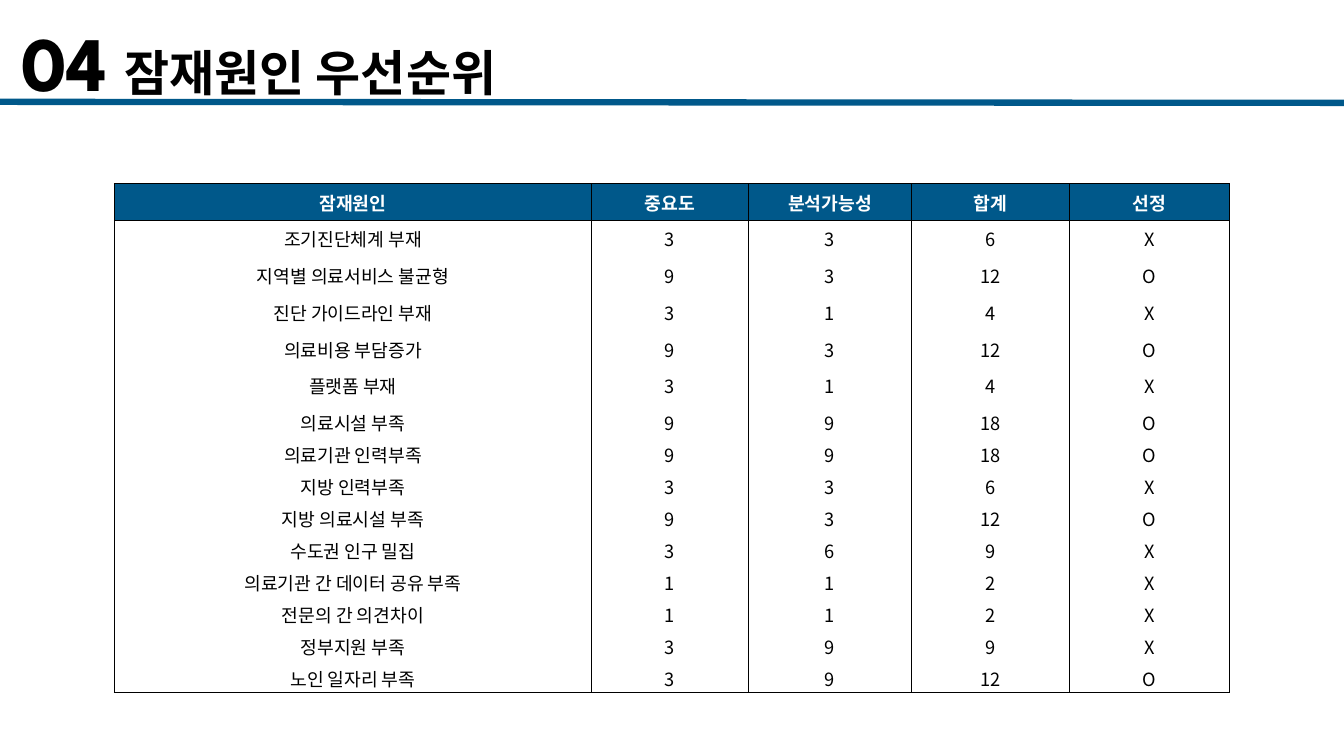
from dataclasses import dataclass

from lxml import etree
from pptx import Presentation
from pptx.dml.color import RGBColor
from pptx.enum.shapes import MSO_CONNECTOR
from pptx.enum.text import MSO_ANCHOR, PP_ALIGN
from pptx.oxml.ns import qn
from pptx.util import Pt

STRAIGHT = MSO_CONNECTOR.STRAIGHT
MIDDLE = MSO_ANCHOR.MIDDLE
LEFT = PP_ALIGN.LEFT
CENTER = PP_ALIGN.CENTER
EMU_PER_PX = 9525
PLAIN_TABLE = "{2D5ABB26-0587-4C30-8999-92F81FD0307C}"


@dataclass(frozen=True)
class Theme:
    accent: str = "00588A"
    ink: str = "000000"
    paper: str = "FFFFFF"
    display_font: str = "League Spartan"
    body_font: str = "Noto Sans CJK KR"
    number_size: float = 55
    gap_size: float = 46.7
    title_size: float = 35
    table_size: float = 13
    rule_width: float = 4.5
    border_width: float = 1


THEME = Theme()

COLUMN_WIDTHS = [454, 150, 155, 151, 152]
HEADER = ("잠재원인", "중요도", "분석가능성", "합계", "선정")
CAUSES = [
    ("조기진단체계 부재", 3, 3, 6, "X"),
    ("지역별 의료서비스 불균형", 9, 3, 12, "O"),
    ("진단 가이드라인 부재", 3, 1, 4, "X"),
    ("의료비용 부담증가", 9, 3, 12, "O"),
    ("플랫폼 부재", 3, 1, 4, "X"),
    ("의료시설 부족", 9, 9, 18, "O"),
    ("의료기관 인력부족", 9, 9, 18, "O"),
    ("지방 인력부족", 3, 3, 6, "X"),
    ("지방 의료시설 부족", 9, 3, 12, "O"),
    ("수도권 인구 밀집", 3, 6, 9, "X"),
    ("의료기관 간 데이터 공유 부족", 1, 1, 2, "X"),
    ("전문의 간 의견차이", 1, 1, 2, "X"),
    ("정부지원 부족", 3, 9, 9, "X"),
    ("노인 일자리 부족", 3, 9, 12, "O"),
]
TALL_ROWS = 6
TALL_HEIGHT = 35
SHORT_HEIGHT = 29


def px(length):
    return length * EMU_PER_PX


def write(para, text, *, size, color=THEME.ink, font=THEME.body_font,
          bold=False, align=LEFT):
    para.alignment = align
    span = para.add_run()
    span.text = text
    span.font.size = Pt(size)
    span.font.bold = bold
    span.font.name = font
    span.font.color.rgb = RGBColor.from_string(color)
    east_asian = etree.SubElement(span.font._element, qn("a:ea"))
    east_asian.set("typeface", THEME.body_font)


def set_borders(cell, sides):
    properties = cell._tc.get_or_add_tcPr()
    for side in "LRTB":
        line = etree.SubElement(properties, qn(f"a:ln{side}"))
        if side in sides:
            line.set("w", str(Pt(THEME.border_width)))
            fill = etree.SubElement(line, qn("a:solidFill"))
            etree.SubElement(fill, qn("a:srgbClr")).set("val", THEME.ink)
        else:
            etree.SubElement(line, qn("a:noFill"))


def add_heading(page, left, top, width, height):
    rule_top = top + height
    rule = page.shapes.add_connector(
        STRAIGHT, 0, px(rule_top), px(1280), px(rule_top + 1))
    rule.line.color.rgb = RGBColor.from_string(THEME.accent)
    rule.line.width = Pt(THEME.rule_width)
    etree.SubElement(rule._element.spPr, qn("a:effectLst"))

    box = page.shapes.add_textbox(px(left), px(top), px(width), px(height))
    frame = box.text_frame
    frame.word_wrap = True
    frame.vertical_anchor = MIDDLE
    frame.margin_left = frame.margin_right = px(12)
    frame.margin_top = frame.margin_bottom = px(7)
    para = frame.paragraphs[0]
    for text, size in (("04", THEME.number_size), (" ", THEME.gap_size),
                       ("잠재원인 우선순위", THEME.title_size)):
        write(para, text, size=size, font=THEME.display_font, bold=True)


def fill_cell(cell, text, *, is_header, sides):
    set_borders(cell, sides)
    background = THEME.accent if is_header else THEME.paper
    cell.fill.solid()
    cell.fill.fore_color.rgb = RGBColor.from_string(background)
    cell.vertical_anchor = MIDDLE
    write(cell.text_frame.paragraphs[0], text, size=THEME.table_size,
          color=THEME.paper if is_header else THEME.ink,
          bold=is_header, align=CENTER)


def add_priority_table(page, left, top):
    rows = [HEADER, *CAUSES]
    heights = [TALL_HEIGHT if index < TALL_ROWS else SHORT_HEIGHT
               for index in range(len(rows))]
    frame = page.shapes.add_table(
        len(rows), len(HEADER), px(left), px(top),
        px(sum(COLUMN_WIDTHS)), px(sum(heights)))
    table = frame.table
    table.horz_banding = False
    table.first_row = False
    table._tbl.tblPr.find(qn("a:tableStyleId")).text = PLAIN_TABLE
    for column, width in zip(table.columns, COLUMN_WIDTHS):
        column.width = px(width)
    for index, values in enumerate(rows):
        table.rows[index].height = px(heights[index])
        sides = "LR"
        if index <= 1:
            sides += "T"
        if index in (0, len(rows) - 1):
            sides += "B"
        for position, value in enumerate(values):
            fill_cell(table.cell(index, position), str(value),
                      is_header=index == 0, sides=sides)


def main():
    deck = Presentation()
    deck.slide_width = px(1280)
    deck.slide_height = px(720)
    page = deck.slides.add_slide(deck.slide_layouts[6])
    add_heading(page, 8, 19, 937, 78)
    add_priority_table(page, 109, 175)
    deck.save("out.pptx")


if __name__ == "__main__":
    main()
